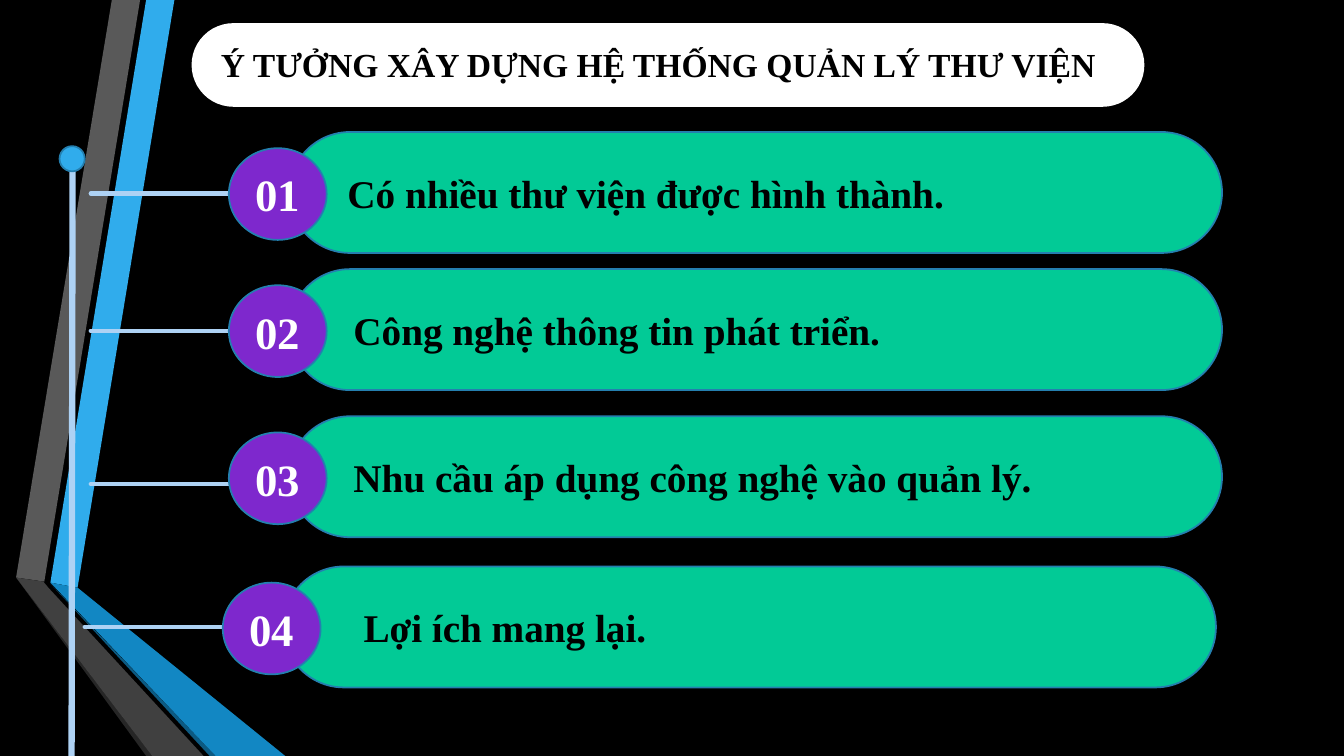
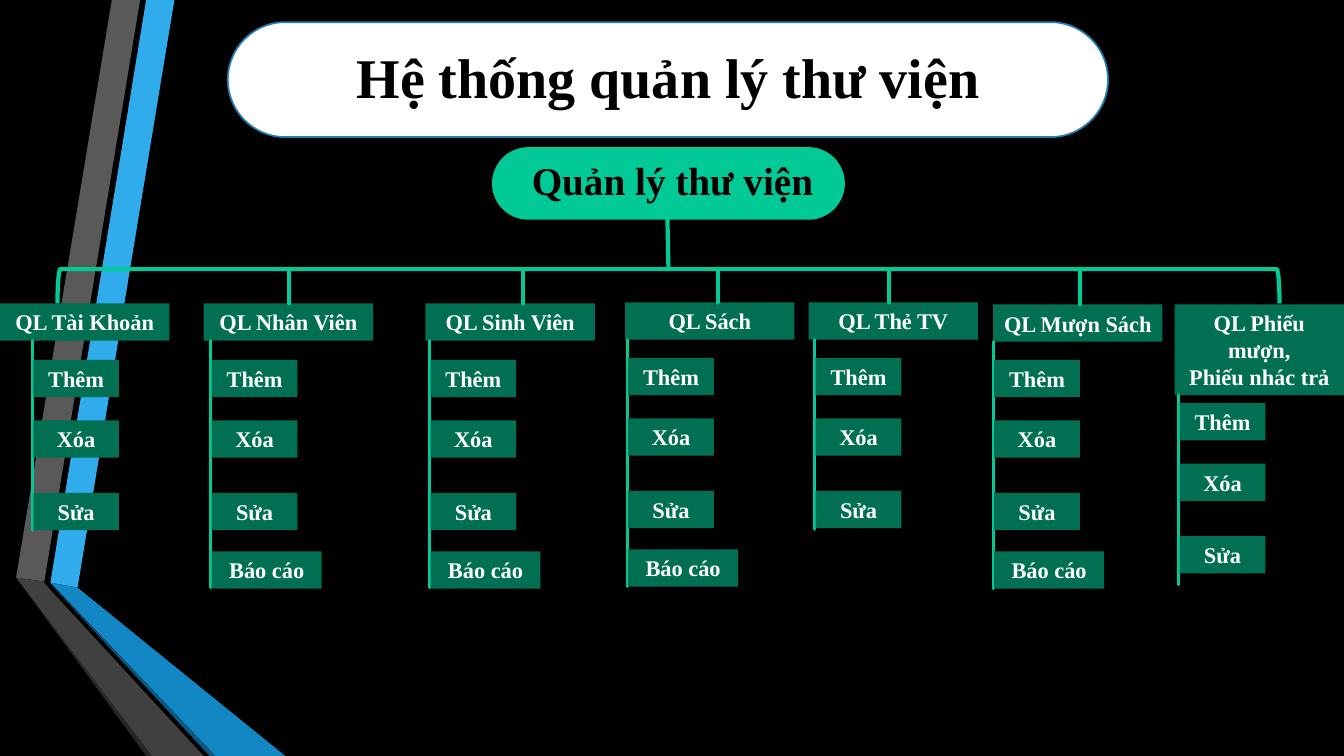
from lxml import etree
from pptx import Presentation
from pptx import util as u
from pptx.dml.color import RGBColor
from pptx.enum import shapes, text
from pptx.oxml.ns import qn

PX = 9144  # EMU per px, 100 px to the inch
FONT = "Times New Roman"
BLACK, WHITE = "000000", "FFFFFF"
GREEN, DARK_GREEN, PURPLE = "02CA96", "016F52", "7E28CD"
SKY, EDGE, PALE = "30ACEC", "247FAF", "AED2F4"
KIND = shapes.MSO_SHAPE
LEFT, CENTER = text.PP_ALIGN.LEFT, text.PP_ALIGN.CENTER

RIBBONS = [
    (SKY, [(50, 578), (77, 583), (173, 0), (145, 0)]),
    ("595959", [(139, 0), (111, 0), (16, 573), (44, 577)]),
    ("262626", [(16, 573), (145, 750), (151, 750)]),
    ("0C5A82", [(50, 579), (208, 750), (214, 750)]),
    ("1287C3", [(50, 578), (214, 750), (283, 750), (77, 583)]),
    ("404040", [(202, 750), (48, 583), (43, 577), (16, 573), (151, 750)]),
]

IDEAS_TITLE = "Ý TƯỞNG XÂY DỰNG HỆ THỐNG QUẢN LÝ THƯ VIỆN"
# text, bar left, bar top, branch y, text indent
IDEAS = [
    ("Có nhiều thư viện được hình thành.", 287, 131, 192, 40),
    ("Công nghệ thông tin phát triển.", 287, 267, 328, 46),
    ("Nhu cầu áp dụng công nghệ vào quản lý.", 287, 413, 480, 46),
    ("Lợi ích mang lại.", 281, 562, 622, 62),
]

SYSTEM_TITLE = "Hệ thống quản lý thư viện"
ROOT = "Quản lý thư viện"
ACTIONS = [("Thêm", 0, 85), ("Xóa", 60, 85), ("Sửa", 132, 85), ("Báo cáo", 190, 109)]
TRUNKS = {3: 188, 4: 245}  # trunk length by number of actions
# heading lines, left, top, height, trunk x, gap to actions, actions, stub x
MODULES = [
    (["QL Tài Khoản"], 0, 301, 37, 32, 19, 3, None),
    (["QL Nhân Viên"], 202, 301, 37, 209, 19, 4, 287),
    (["QL Sinh Viên"], 422, 301, 37, 426, 19, 4, 519),
    (["QL Sách"], 620, 300, 37, 622, 18, 4, 712),
    (["QL Thẻ TV"], 802, 300, 37, 808, 18, 3, 882),
    (["QL Mượn Sách"], 985, 302, 37, 985, 18, 4, 1071),
    (["QL Phiếu mượn,", "Phiếu nhác trả"], 1165, 302, 90, 1169, 8, 3, None),
]


def color(value):
    return RGBColor.from_string(value)


def write(sp, lines, size, ink, align=CENTER, inset=(10, 5, 10, 5)):
    tf = sp.text_frame
    tf.word_wrap = True
    tf.auto_size = text.MSO_AUTO_SIZE.NONE
    tf.vertical_anchor = text.MSO_ANCHOR.MIDDLE
    tf.margin_left, tf.margin_top, tf.margin_right, tf.margin_bottom = (
        v * PX for v in inset)
    for i, line in enumerate(lines):
        p = tf.add_paragraph() if i else tf.paragraphs[0]
        p.alignment = align
        r = p.add_run()
        r.text = line
        r.font.name, r.font.size, r.font.bold = FONT, u.Pt(size), True
        r.font.color.rgb = color(ink)


def paint(sp, fill=None, line=None, width=1.25):
    sp.shadow.inherit = False
    if fill:
        sp.fill.solid()
        sp.fill.fore_color.rgb = color(fill)
    else:
        sp.fill.background()
    if line:
        sp.line.color.rgb = color(line)
        sp.line.width = u.Pt(width)
    else:
        sp.line.fill.background()


def add_shape(slide, kind, box, fill=None, line=None, width=1.25):
    sp = slide.shapes.add_shape(kind, *(v * PX for v in box))
    paint(sp, fill, line, width)
    return sp


def add_pill(slide, box, fill, line=None):
    sp = add_shape(slide, KIND.ROUNDED_RECTANGLE, box, fill, line)
    sp.adjustments[0] = 0.5
    return sp


def add_box(slide, lines, box):
    write(add_shape(slide, KIND.RECTANGLE, box, DARK_GREEN), lines, 16, WHITE)


def add_line(slide, x1, y1, x2, y2, ink, width):
    c = slide.shapes.add_connector(
        shapes.MSO_CONNECTOR.STRAIGHT, *(v * PX for v in (x1, y1, x2, y2)))
    c.line.color.rgb = color(ink)
    c.line.width = u.Pt(width)
    props = c.element.spPr
    props.find(qn("a:ln")).set("cap", "rnd")
    etree.SubElement(props, qn("a:effectLst"))


def add_title(slide, words, pill, box, size, align, line=None):
    """Fill the title placeholder and lay a white pill behind it."""
    title = slide.shapes.title
    title.left, title.top, title.width, title.height = (v * PX for v in box)
    write(title, [words], size, BLACK, align)
    title.element.addprevious(add_pill(slide, pill, WHITE, line).element)


def dress_master(master, slide):
    """Give the master a black background and the folded ribbons."""
    master.background.fill.solid()
    master.background.fill.fore_color.rgb = color(BLACK)
    first = master.shapes[0].element
    for i, (fill, points) in enumerate(RIBBONS):
        outline = slide.shapes.build_freeform(*points[0], scale=PX)
        outline.add_line_segments(points[1:], close=True)
        sp = outline.convert_to_shape()
        paint(sp, fill)
        sp.element.nvSpPr.cNvPr.set("id", str(20 + i))
        first.addprevious(sp.element)


def build_ideas(slide):
    add_title(slide, IDEAS_TITLE, (190, 23, 945, 83), (209, 39, 926, 50), 24, LEFT)
    add_line(slide, 72, 162, 71, 750, PALE, 4.5)
    add_shape(slide, KIND.OVAL, (59, 145, 25, 25), SKY, EDGE)
    for n, (idea, left, top, branch, indent) in enumerate(IDEAS, 1):
        add_line(slide, left - 197, branch, left - 60, branch, PALE, 3)
        bar = add_pill(slide, (left, top, 925, 120), GREEN, EDGE)
        write(bar, [idea], 28, BLACK, LEFT, (indent, 5, 10, 5))
        badge = add_shape(slide, KIND.OVAL, (left - 60, top + 16, 97, 91), PURPLE, EDGE)
        write(badge, [f"{n:02}"], 32, WHITE, inset=(0, 0, 0, 0))


def build_system(slide):
    add_title(slide, SYSTEM_TITLE, (226, 22, 873, 114), (261, 37, 803, 77), 40,
              CENTER, EDGE)
    root = add_pill(slide, (488, 146, 350, 72), GREEN)
    write(root, [ROOT], 28, BLACK, inset=(8, 0, 0, 8))
    bracket = add_shape(slide, KIND.RIGHT_BRACKET, (646, -322, 34, 1212),
                        line=GREEN, width=3)
    bracket.rotation = 270
    add_line(slide, 662, 217, 663, 267, GREEN, 3)
    for heading, left, top, height, trunk, gap, count, stub in MODULES:
        bottom = top + height
        add_box(slide, heading, (left, top, 168, height))
        add_line(slide, trunk, bottom, trunk, bottom + TRUNKS[count], GREEN, 2.25)
        for action, drop, width in ACTIONS[:count]:
            add_box(slide, [action], (trunk + 1, bottom + gap + drop, width, 37))
        if stub:
            add_line(slide, stub, 267, stub, top, GREEN, 3)


def main():
    prs = Presentation()
    prs.slide_width, prs.slide_height = u.Inches(13.33), u.Inches(7.5)
    layout = prs.slide_layouts.get_by_name("Title Only")
    ideas, system = (prs.slides.add_slide(layout) for _ in range(2))
    dress_master(prs.slide_master, ideas)
    build_ideas(ideas)
    build_system(system)
    prs.save("out.pptx")


if __name__ == "__main__":
    main()
